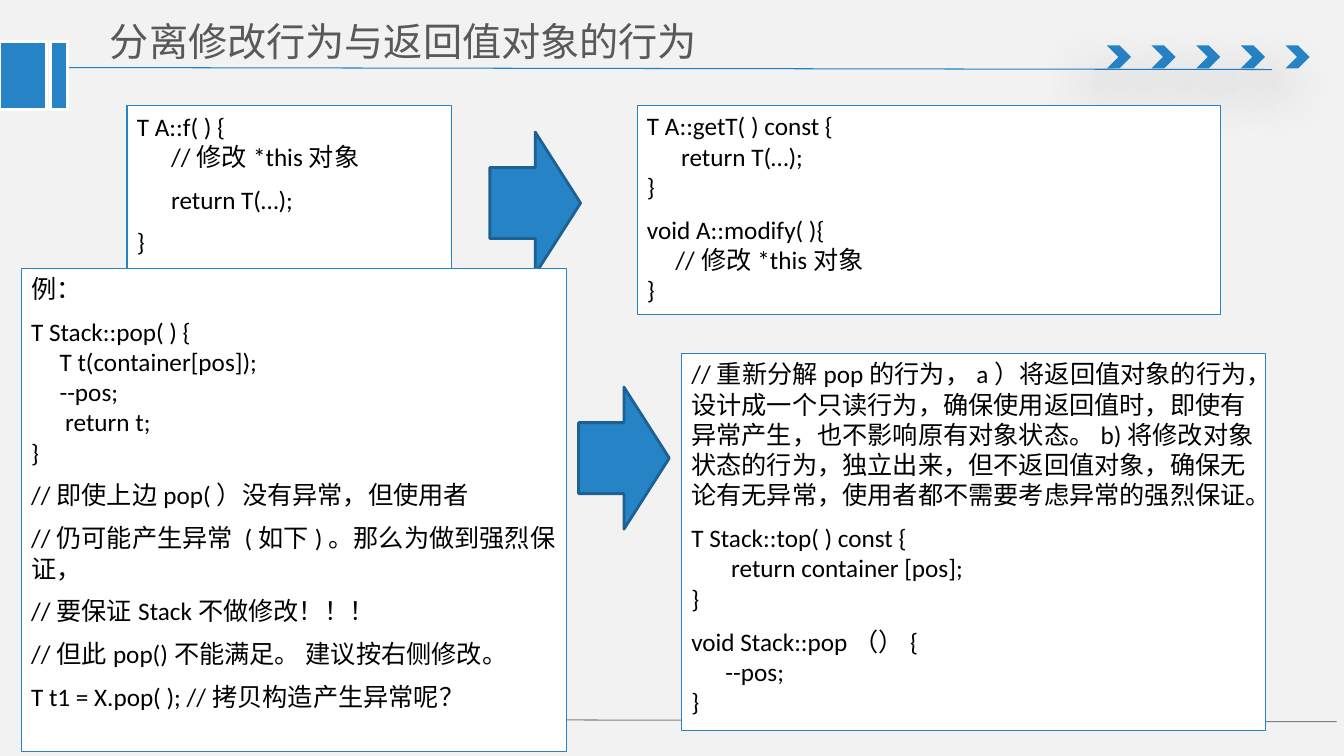
import pptx
import pptx.util
import pptx.dml.color
import pptx.enum.shapes
import pptx.enum.text
import pptx.oxml
import pptx.oxml.ns

SHAPE = pptx.enum.shapes.MSO_SHAPE
ALIGN = pptx.enum.text.PP_ALIGN
ANCHOR = pptx.enum.text.MSO_ANCHOR
HUES = {"back": "F2F2F2", "blue": "2683C6", "rule": "2181C6", "edge": "1C6192",
        "gray": "808080", "title": "595959", "white": "FFFFFF", "black": "000000"}
HAN = "Noto Sans CJK SC"
CELL = 0.1
SPACE = 4.07
CODE = {
    "before": [
        [(0, "T A::f( ) {"), (6, "//修改*this对象")],
        [(6, "return T(…);")],
        [(0, "}")]],
    "after": [
        [(0, "T A::getT( ) const {"), (6, "return T(…);"), (0, "}")],
        [(0, "void A::modify( ){"), (5, "//修改*this对象"), (0, "}")]],
    "stack": [
        [(0, "例：")],
        [(0, "T Stack::pop( ) {"), (5, "T t(container[pos]);"), (5, "--pos;"),
         (6, "return t;"), (0, "}")],
        [(0, "//即使上边pop(）没有异常，但使用者")],
        [(0, "//仍可能产生异常 (如下)。那么为做到强烈保证，")],
        [(0, "//要保证Stack不做修改！！！")],
        [(0, "//但此pop()不能满足。 建议按右侧修改。")],
        [(0, "T t1 = X.pop( ); //拷贝构造产生异常呢？")]],
    "split": [
        [(0, "//重新分解pop的行为，a）将返回值对象的行为，设计成一个只读行为，"
             "确保使用返回值时，即使有异常产生，也不影响原有对象状态。"
             "b)将修改对象状态的行为，独立出来，但不返回值对象，"
             "确保无论有无异常，使用者都不需要考虑异常的强烈保证。")],
        [(0, "T Stack::top( ) const {"), (7, "return container [pos];"), (0, "}")],
        [(0, "void Stack::pop（）{"), (6, "--pos;"), (0, "}")]],
}


def grid(*cells):
    """Turn counts of grid columns and rows into lengths."""
    return [pptx.util.Inches(cell * CELL) for cell in cells]


def hue(name):
    """Look up a colour by name."""
    return pptx.dml.color.RGBColor.from_string(HUES[name])


def style(run, size, face, tone):
    """Set the size, fonts and colour of a run."""
    run.font.size = pptx.util.Pt(size)
    run.font.name = face
    run.font.color.rgb = hue(tone)
    east = pptx.oxml.parse_xml(
        f'<a:ea {pptx.oxml.ns.nsdecls("a")} typeface="{HAN}"/>')
    run.font._element.find(pptx.oxml.ns.qn("a:latin")).addnext(east)


def block(slide, kind, cells, fill="blue", line=None, width=2):
    """Add a filled shape with an optional outline."""
    shape = slide.shapes.add_shape(kind, *grid(*cells))
    shape.shadow.inherit = False
    shape.fill.solid()
    shape.fill.fore_color.rgb = hue(fill)
    if line:
        shape.line.color.rgb = hue(line)
        shape.line.width = pptx.util.Pt(width)
    else:
        shape.line.fill.background()
    return shape


def rule(slide, cells, tone):
    """Add a thin line without a shadow."""
    line = slide.shapes.add_connector(
        pptx.enum.shapes.MSO_CONNECTOR.STRAIGHT, *grid(*cells))
    line.line.color.rgb = hue(tone)
    line.line.width = pptx.util.Pt(0.75)
    line._element.spPr.append(pptx.oxml.parse_xml(
        f'<a:effectLst {pptx.oxml.ns.nsdecls("a")}/>'))


def shade(shape):
    """Give a shape a soft dropped shadow."""
    glow = pptx.oxml.parse_xml(
        f'<a:outerShdw {pptx.oxml.ns.nsdecls("a")} blurRad="{pptx.util.Pt(36)}" '
        f'dist="{pptx.util.Pt(24)}" dir="{130 * 60000}" rotWithShape="0">'
        f'<a:srgbClr val="{HUES["black"]}"><a:alpha val="38000"/></a:srgbClr>'
        '</a:outerShdw>')
    shape._element.spPr.find(pptx.oxml.ns.qn("a:effectLst")).append(glow)


def code(slide, cells, parts):
    """Add a white box of code whose parts are set apart by spacing."""
    box = block(slide, SHAPE.RECTANGLE, cells, "white", "blue", 0.75)
    frame = box.text_frame
    frame.word_wrap = True
    frame.vertical_anchor = ANCHOR.TOP
    rows = [(step, text, part > 0 and row == 0)
            for part, lines in enumerate(parts)
            for row, (step, text) in enumerate(lines)]
    frame.text = "\n".join(text for _, text, _ in rows)
    for para, (step, _, gap) in zip(frame.paragraphs, rows):
        para.alignment = ALIGN.LEFT
        para.space_before = pptx.util.Pt(9 if gap else 0)
        para._p.get_or_add_pPr().set("marL", str(pptx.util.Pt(step * SPACE)))
        style(para.runs[0], 18, "Calibri", "black")


def frame(slide):
    """Draw the rules, chevrons and bars around the content."""
    rule(slide, (5.3, 6.7, 126.2, 6.9), "rule")
    for step in range(5):
        shade(block(slide, SHAPE.CHEVRON, (109.8 + 4.43 * step, 4.5, 2.4, 2.3)))
    rule(slide, (2.3, 71.3, 132.6, 71.6), "gray")
    for left, wide in ((0, 4.6), (5, 1.7)):
        block(slide, SHAPE.RECTANGLE, (left, 4.1, wide, 6.8), line="white")


def head(slide, text):
    """Place and format the title."""
    title = slide.shapes.title
    title.left, title.top, title.width, title.height = grid(9.9, 1.4, 88, 5.5)
    title.text_frame.text = text
    title.text_frame.vertical_anchor = ANCHOR.BOTTOM
    title.text_frame.paragraphs[0].alignment = ALIGN.LEFT
    style(title.text_frame.paragraphs[0].runs[0], 28, HAN, "title")


def main():
    """Build the slide and save it."""
    deck = pptx.Presentation()
    deck.slide_width, deck.slide_height = grid(133.33, 75)
    slide = deck.slides.add_slide(deck.slide_layouts[5])
    slide.background.fill.solid()
    slide.background.fill.fore_color.rgb = hue("back")
    frame(slide)
    head(slide, "分离修改行为与返回值对象的行为")
    code(slide, (12.6, 10.5, 32.2, 16.2), CODE["before"])
    code(slide, (63.2, 10.5, 57.9, 20.7), CODE["after"])
    block(slide, SHAPE.RIGHT_ARROW, (48.6, 13.1, 9, 14.1), line="edge")
    code(slide, (2.1, 26.6, 54.1, 48), CODE["stack"])
    code(slide, (67.6, 35.1, 57.9, 37.4), CODE["split"])
    block(slide, SHAPE.RIGHT_ARROW, (57.4, 38.4, 9, 14.1), line="edge")
    deck.save("out.pptx")


if __name__ == "__main__":
    main()
